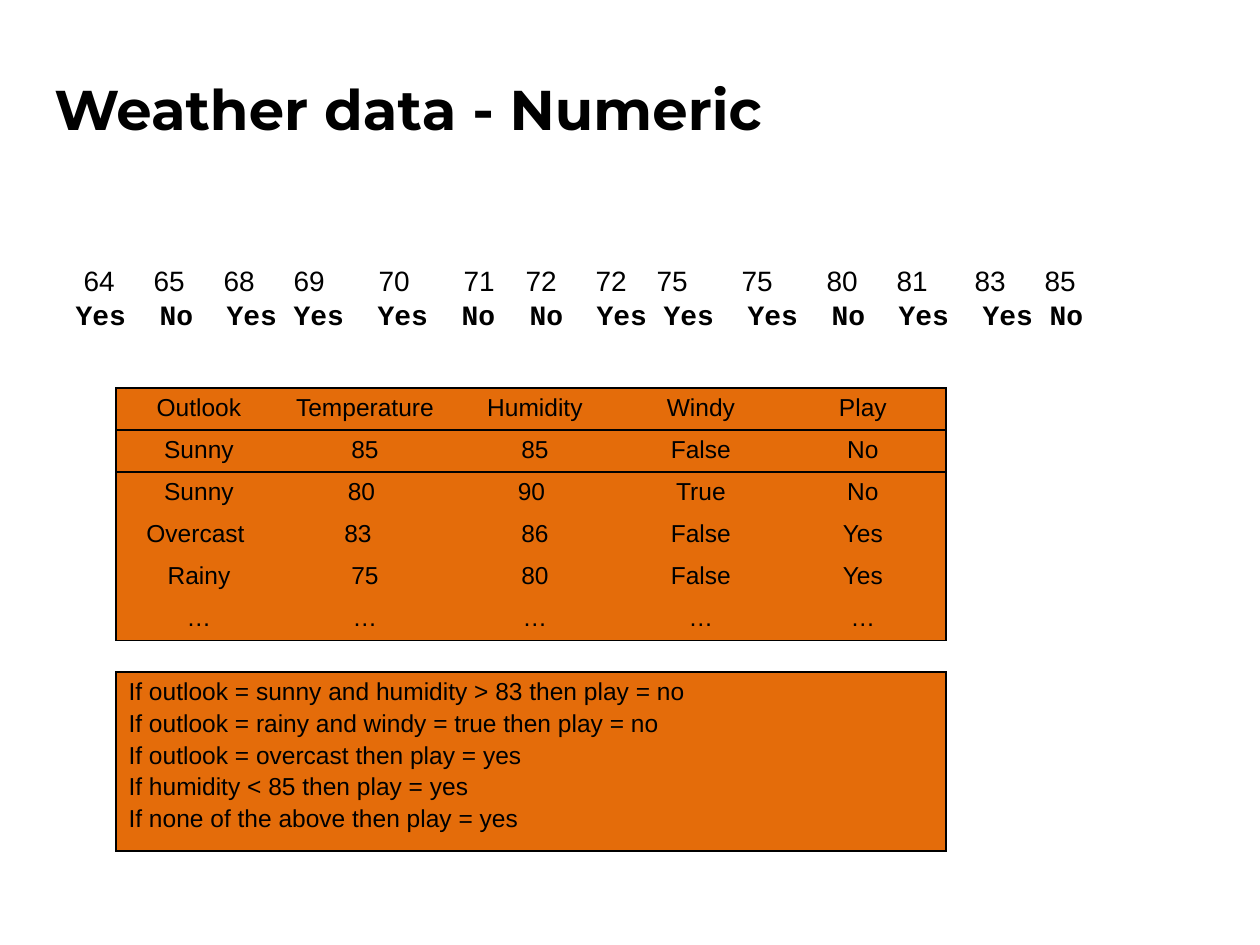
from pptx import Presentation
from pptx.dml.color import RGBColor
from pptx.enum.text import MSO_ANCHOR as Anchor, PP_ALIGN as Align
from pptx.oxml.ns import qn
from pptx.util import Pt
from lxml.etree import SubElement, Element

SCALE = 914400 / 126  # EMU per px
BLACK = RGBColor(0x00, 0x00, 0x00)
ORANGE = RGBColor(0xE4, 0x6C, 0x0A)
PLAIN_STYLE = "{2D5ABB26-0587-4C30-8999-92F81FD0307C}"  # no style, no grid

TITLE_FONT = {"name": "Montserrat", "size": Pt(32), "bold": True}
TABLE_FONT = {"name": "Arial", "size": Pt(14)}
VALUE_FONT = {"name": "Arial", "size": Pt(16)}
CLASS_FONT = {"name": "Courier New", "size": Pt(16), "bold": True}

TEMPERATURES = "64 65 68 69 70 71 72 72 75 75 80 81 83 85".split()
VALUE_STOPS = [8, 78, 148, 218, 303, 388, 450, 520, 581, 666, 751, 821, 899, 969]
PLAYS = "Yes No Yes Yes Yes No No Yes Yes Yes No Yes Yes No".split()
PLAY_STOPS = [84, 151, 218, 302, 386, 454, 521, 588, 672, 756, 823, 907, 974]

WEATHER = [
    ["Outlook", "Temperature", "Humidity", "Windy", "Play"],
    ["Sunny", "85", "85", "False", "No"],
    ["Sunny", "80", "90", "True", "No"],
    ["Overcast", "83", "86", "False", "Yes"],
    ["Rainy", "75", "80", "False", "Yes"],
    ["…"] * 5,
]
# Extra right margin (px) of the cells whose text sits left of centre
LEFT_SHIFT = {(2, 1): 7, (2, 2): 7, (3, 0): 7, (3, 1): 14}
RULES = [
    "If outlook = sunny and humidity > 83 then play = no",
    "If outlook = rainy and windy = true then play = no",
    "If outlook = overcast then play = yes",
    "If humidity < 85 then play = yes",
    "If none of the above then play = yes",
]


def px(length):
    return round(length * SCALE)


def write(para, text, font, align=Align.LEFT):
    para.alignment = align
    span = para.add_run()
    span.text = text
    for name, value in font.items():
        setattr(span.font, name, value)
    span.font.color.rgb = BLACK


def set_tabs(para, stops):
    tabs = SubElement(para._p.get_or_add_pPr(), qn("a:tabLst"))
    for stop in stops:
        SubElement(tabs, qn("a:tab"), pos=str(px(stop)), algn="l")


def set_borders(cell, sides):
    """Draw 1 pt black lines on the sides, named in the order L, R, T, B."""
    properties = cell._tc.get_or_add_tcPr()
    for index, side in enumerate(sides):
        line = Element(qn(f"a:ln{side}"), w=str(Pt(1)))
        color = SubElement(SubElement(line, qn("a:solidFill")), qn("a:srgbClr"))
        color.set("val", str(BLACK))
        properties.insert(index, line)


def add_plain_table(page, box, widths, row_count):
    left, top, width, height = map(px, box)
    frame = page.shapes.add_table(row_count, len(widths), left, top, width, height)
    table = frame.table
    table.first_row = table.horz_banding = False
    table._tbl.tblPr.find(qn("a:tableStyleId")).text = PLAIN_STYLE
    for column, column_width in zip(table.columns, widths):
        column.width = px(column_width)
    return table


def fill_cell(cell, color):
    cell.fill.solid()
    cell.fill.fore_color.rgb = color


def add_title(page, box, text):
    frame = page.shapes.add_textbox(*map(px, box)).text_frame
    frame.word_wrap = True
    frame.vertical_anchor = Anchor.MIDDLE
    write(frame.paragraphs[0], text, TITLE_FONT)


def add_sequence(page, box):
    cell = add_plain_table(page, box, [box[2]], 1).cell(0, 0)
    cell.fill.background()
    values = cell.text_frame.paragraphs[0]
    write(values, "\t" + "\t".join(TEMPERATURES), VALUE_FONT)
    set_tabs(values, VALUE_STOPS)
    plays = cell.text_frame.add_paragraph()
    plays.space_before = Pt(2.8)
    write(plays, "\t".join(PLAYS), CLASS_FONT)
    set_tabs(plays, PLAY_STOPS)


def add_weather(page, box, widths):
    table = add_plain_table(page, box, widths, len(WEATHER))
    last_row, last_column = len(WEATHER) - 1, len(widths) - 1
    for r, row in enumerate(WEATHER):
        for c, text in enumerate(row):
            cell = table.cell(r, c)
            write(cell.text_frame.paragraphs[0], text, TABLE_FONT, Align.CENTER)
            cell.margin_right += px(LEFT_SHIFT.get((r, c), 0))
            fill_cell(cell, ORANGE)
            drawn = {"L": c == 0, "R": c == last_column,
                     "T": r in (0, 1), "B": r in (0, last_row)}
            set_borders(cell, [side for side, on in drawn.items() if on])


def add_rules(page, box):
    cell = add_plain_table(page, box, [box[2]], 1).cell(0, 0)
    frame = cell.text_frame
    for index, rule in enumerate(RULES):
        para = frame.add_paragraph() if index else frame.paragraphs[0]
        if index:
            para.space_before = Pt(2.4)
        write(para, rule, TABLE_FONT, Align.JUSTIFY)
    fill_cell(cell, ORANGE)
    set_borders(cell, "LRTB")


def main():
    deck = Presentation()
    deck.slide_width, deck.slide_height = px(1260), px(945)
    page = deck.slides.add_slide(deck.slide_layouts[6])
    add_title(page, (42, 59, 882, 98), "Weather data - Numeric")
    add_weather(page, (116, 388, 830, 252), [166, 166, 174, 158, 166])
    add_rules(page, (116, 672, 830, 179))
    add_sequence(page, (63, 260, 1134, 84))
    deck.save("out.pptx")


if __name__ == "__main__":
    main()
